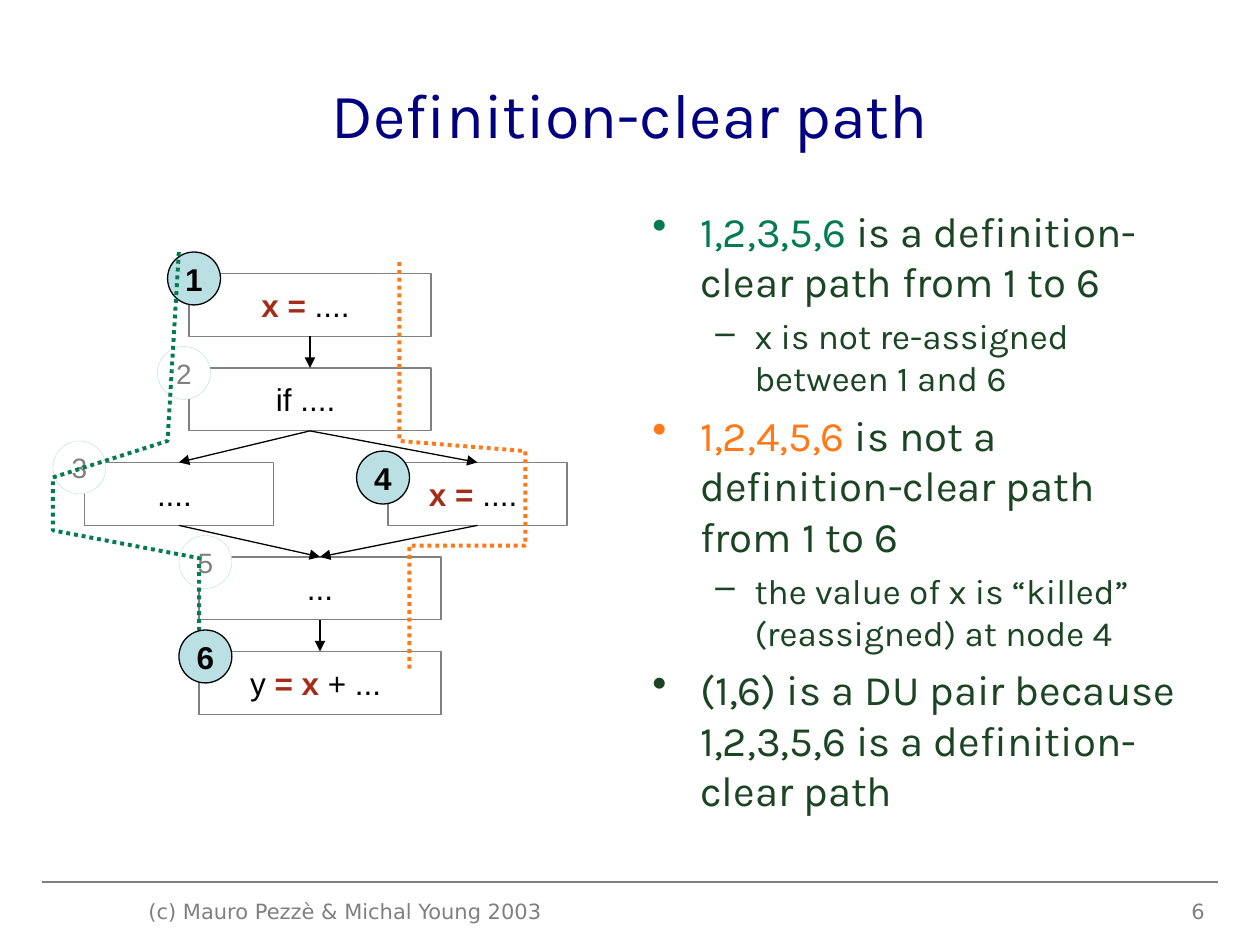
from dataclasses import dataclass

from lxml.etree import SubElement
from pptx import Presentation
from pptx.dml.color import RGBColor
from pptx.enum.dml import MSO_LINE
from pptx.enum.shapes import MSO_CONNECTOR, MSO_SHAPE
from pptx.enum.text import MSO_ANCHOR, PP_ALIGN
from pptx.oxml.ns import qn
from pptx.util import Inches, Pt


@dataclass(frozen=True)
class Theme:
    navy: str = "000080"
    forest: str = "1A4422"
    green: str = "027A52"
    orange: str = "FF7919"
    red: str = "A32D18"
    black: str = "000000"
    gray: str = "808080"
    pale_blue: str = "BBE0E3"
    white: str = "FFFFFF"
    body_font: str = "Karla"
    diagram_font: str = "Arial"
    footer_font: str = "DejaVu Sans"
    title_size: int = 36
    point_size: int = 24
    detail_size: int = 20
    code_size: int = 18
    faint_size: int = 16
    footer_size: int = 12


theme = Theme()


def write(frame, text, *, size, font, color, bold=False, align=None, accents=(),
          bullet=None, bullet_color=None, level=0, margin=0, hang=0, before=0):
    paragraph = frame.paragraphs[0]
    if paragraph.runs:
        paragraph = frame.add_paragraph()
        paragraph.space_before = Pt(before)
    paragraph.alignment = align
    paragraph.level = level
    if bullet:
        properties = paragraph._p.get_or_add_pPr()
        properties.set("marL", str(Inches(margin)))
        properties.set("indent", str(-Inches(hang)))
        SubElement(SubElement(properties, qn("a:buClr")), qn("a:srgbClr"), val=bullet_color or color)
        SubElement(properties, qn("a:buChar"), char=bullet)
    for part in [text] if isinstance(text, str) else text:
        run = paragraph.add_run()
        run.text = part
        accent = dict(accents).get(part)
        run.font.name = font
        run.font.size = Pt(size)
        run.font.bold = bold or accent == theme.red
        run.font.color.rgb = RGBColor.from_string(accent or color)


def connect(start, end, *, color, arrow=False):
    line = slide.shapes.add_connector(MSO_CONNECTOR.STRAIGHT, *(Inches(v) for v in (*start, *end)))
    line.line.color.rgb = RGBColor.from_string(color)
    line.line.width = Pt(0.75)
    if arrow:
        SubElement(line.line._get_or_add_ln(), qn("a:tailEnd"), type="triangle")
    SubElement(line._element.spPr, qn("a:effectLst"))


presentation = Presentation()
presentation.slide_width = Inches(10)
presentation.slide_height = Inches(7.5)
slide = presentation.slides.add_slide(presentation.slide_layouts[6])

connect((0.33, 7), (9.67, 7), color=theme.gray)

title = slide.shapes.add_textbox(Inches(0.5), Inches(0.3), Inches(9), Inches(1.2)).text_frame
title.word_wrap = True
title.vertical_anchor = MSO_ANCHOR.MIDDLE
write(title, "Definition-clear path", size=theme.title_size, font=theme.body_font,
      color=theme.navy, align=PP_ALIGN.CENTER)

explanation = slide.shapes.add_textbox(Inches(5.08), Inches(1.58), Inches(4.42), Inches(5.33)).text_frame
explanation.word_wrap = True
point = dict(size=theme.point_size, bullet="•", margin=0.38, hang=0.38, before=6)
detail = dict(size=theme.detail_size, bullet="–", level=1, margin=0.81, hang=0.31, before=5)
clear_path, killed_path = "1,2,3,5,6", "1,2,4,5,6"
path_colors = {clear_path: theme.green, killed_path: theme.orange}
for text, style, bullet_color in [
    ([clear_path, " is a definition-clear path from 1 to 6"], point, theme.green),
    ("x is not re-assigned between 1 and 6", detail, theme.forest),
    ([killed_path, " is not a definition-clear path from 1 to 6"], point, theme.orange),
    ("the value of x is “killed” (reassigned) at node 4", detail, theme.forest),
    ("(1,6) is a DU pair because 1,2,3,5,6 is a definition-clear path", point, theme.forest),
]:
    write(explanation, text, font=theme.body_font, color=theme.forest, accents=path_colors,
          bullet_color=bullet_color, **style)

first_top, step, statement_height = 2.17, 0.75, 0.5
statements = [
    (1.5, 0, 1.92, ["x =", " .... "]),
    (1.5, 1, 1.92, ["if .... "]),
    (3.08, 2, 1.42, ["x =", " .... "]),
    (1.58, 3, 1.92, ["..."]),
    (0.67, 2, 1.5, [".... "]),
    (1.58, 4, 1.92, ["y ", "= x", " + ... "]),
]
for left, row, width, code in statements:
    statement = slide.shapes.add_shape(MSO_SHAPE.RECTANGLE, Inches(left), Inches(first_top + row * step),
                                       Inches(width), Inches(statement_height))
    statement.shadow.inherit = False
    statement.fill.background()
    statement.line.color.rgb = RGBColor.from_string(theme.gray)
    statement.line.width = Pt(0.75)
    statement.text_frame.word_wrap = False
    statement.text_frame.vertical_anchor = MSO_ANCHOR.MIDDLE
    write(statement.text_frame, code, size=theme.code_size, font=theme.diagram_font, color=theme.black,
          align=PP_ALIGN.CENTER, accents={"x =": theme.red, "= x": theme.red})

for source, target in [(0, 1), (1, 4), (1, 2), (4, 3), (2, 3), (3, 5)]:
    source_left, source_row, source_width, _ = statements[source]
    target_left, target_row, target_width, _ = statements[target]
    connect((source_left + source_width / 2, first_top + source_row * step + statement_height),
            (target_left + target_width / 2, first_top + target_row * step),
            color=theme.black, arrow=True)

key_node = dict(size=theme.code_size, color=theme.black, bold=True)
faint_node = dict(size=theme.faint_size, color=theme.gray)
for number, left, top, style in [
    ("4", 2.83, 3.58, key_node),
    ("1", 1.33, 2, key_node),
    ("6", 1.42, 5, key_node),
    ("2", 1.25, 2.75, faint_node),
    ("3", 0.42, 3.5, faint_node),
    ("5", 1.42, 4.25, faint_node),
]:
    is_key = style is key_node
    node = slide.shapes.add_shape(MSO_SHAPE.OVAL, Inches(left), Inches(top), Inches(0.42), Inches(0.42))
    node.shadow.inherit = False
    node.fill.solid()
    node.fill.fore_color.rgb = RGBColor.from_string(theme.pale_blue if is_key else theme.white)
    node.line.color.rgb = RGBColor.from_string(theme.black if is_key else theme.pale_blue)
    node.line.width = Pt(0.75 if is_key else 0.25)
    node.text_frame.word_wrap = False
    node.text_frame.vertical_anchor = MSO_ANCHOR.MIDDLE
    write(node.text_frame, number, font=theme.diagram_font, align=PP_ALIGN.CENTER, **style)

for color, stops in [
    (theme.green, [(1.42, 2), (1.33, 3.5), (0.42, 3.79), (0.42, 4.21), (1.58, 4.43), (1.58, 5)]),
    (theme.orange, [(3.17, 2.08), (3.17, 3.5), (4.17, 3.58), (4.17, 4.33), (3.25, 4.33), (3.25, 5.33)]),
]:
    start, *rest = [(Inches(x), Inches(y)) for x, y in stops]
    outline = slide.shapes.build_freeform(*start)
    outline.add_line_segments(rest, close=False)
    route = outline.convert_to_shape()
    route.shadow.inherit = False
    route.fill.background()
    route.line.color.rgb = RGBColor.from_string(color)
    route.line.width = Pt(2.25)
    route.line.dash_style = MSO_LINE.ROUND_DOT

for text, left, width, align in [
    ("(c) Mauro Pezzè & Michal Young 2003", 1.08, 3.5, PP_ALIGN.LEFT),
    ("6", 7.33, 2.33, PP_ALIGN.RIGHT),
]:
    footer = slide.shapes.add_textbox(Inches(left), Inches(7.08), Inches(width), Inches(0.27)).text_frame
    footer.word_wrap = True
    write(footer, text, size=theme.footer_size, font=theme.footer_font, color=theme.gray, align=align)

presentation.save("out.pptx")
